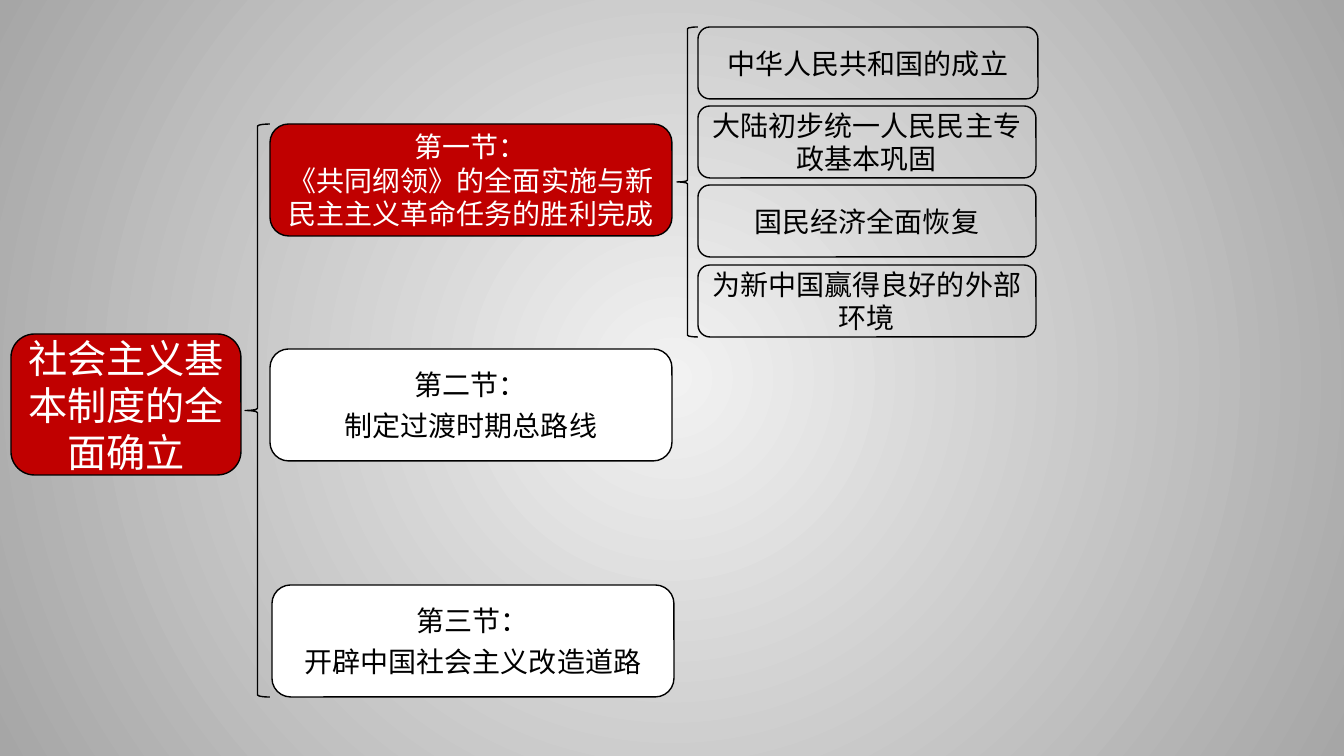
from dataclasses import dataclass

from lxml.etree import SubElement
from pptx import Presentation
from pptx.dml.color import RGBColor
from pptx.enum.shapes import MSO_SHAPE
from pptx.enum.text import MSO_ANCHOR, PP_ALIGN
from pptx.oxml.ns import qn
from pptx.slide import Slide
from pptx.util import Emu, Pt

FONT = "Noto Sans CJK SC"
RED = RGBColor(0xC0, 0x00, 0x00)
BLACK = RGBColor(0x00, 0x00, 0x00)
WHITE = RGBColor(0xFF, 0xFF, 0xFF)
PALE = RGBColor(0xF2, 0xF2, 0xF2)
GREY = RGBColor(0xA6, 0xA6, 0xA6)


def px(count: int) -> Emu:
    return Emu(round(count * 914400 / 100.8))


@dataclass
class Area:
    left: int
    top: int
    width: int
    height: int


@dataclass
class Node:
    area: Area
    lines: list[str]
    fill: RGBColor | None = None
    ink: RGBColor = BLACK
    size: int = 20
    gap: float = 0


def add_outline(slide: Slide, kind: MSO_SHAPE, area: Area, fill: RGBColor | None = None):
    shape = slide.shapes.add_shape(
        kind, px(area.left), px(area.top), px(area.width), px(area.height)
    )
    shape.shadow.inherit = False
    if fill is None:
        shape.fill.background()
    else:
        shape.fill.solid()
        shape.fill.fore_color.rgb = fill
    shape.line.color.rgb = BLACK
    shape.line.width = Pt(1)
    return shape


def add_node(slide: Slide, node: Node) -> None:
    shape = add_outline(slide, MSO_SHAPE.ROUNDED_RECTANGLE, node.area, node.fill)
    frame = shape.text_frame
    frame.word_wrap = True
    frame.vertical_anchor = MSO_ANCHOR.MIDDLE
    frame.text = "\n".join(node.lines)
    for index, para in enumerate(frame.paragraphs):
        para.alignment = PP_ALIGN.CENTER
        if index and node.gap:
            para.space_before = Pt(node.gap)
        font = para.font
        font.size = Pt(node.size)
        font.color.rgb = node.ink
        font.name = FONT
        props = para._p.pPr.find(qn("a:defRPr"))
        SubElement(props, qn("a:ea"), typeface=FONT)


def paint_back(slide: Slide) -> None:
    fill = slide.background.fill
    fill.gradient()
    for stop, color in zip(fill.gradient_stops, (PALE, GREY)):
        stop.color.rgb = color
    grad = slide.element.find(".//" + qn("a:gradFill"))
    grad.remove(grad.find(qn("a:lin")))
    route = SubElement(grad, qn("a:path"), path="circle")
    SubElement(route, qn("a:fillToRect"), l="50000", t="50000", r="50000", b="50000")


ROOT = Node(Area(11, 334, 230, 141), ["社会主义基本制度的全面确立"], RED, WHITE, 28)
PARTS = [
    Node(
        Area(270, 124, 402, 112),
        ["第一节：", "《共同纲领》的全面实施与新民主主义革命任务的胜利完成"],
        RED,
        WHITE,
    ),
    Node(Area(270, 349, 402, 112), ["第二节：", "制定过渡时期总路线"], WHITE, gap=4.8),
    Node(Area(272, 585, 402, 112), ["第三节：", "开辟中国社会主义改造道路"], WHITE, gap=4.8),
]
TOPICS = [
    ("中华人民共和国的成立", 340),
    ("大陆初步统一人民民主专政基本巩固", 338),
    ("国民经济全面恢复", 338),
    ("为新中国赢得良好的外部环境", 338),
]
LEAVES = [
    Node(Area(698, 27 + row * 238 // 3, width, 72), [text])
    for row, (text, width) in enumerate(TOPICS)
]
BRACES = [Area(245, 124, 25, 573), Area(677, 27, 21, 310)]


def main() -> None:
    deck = Presentation()
    deck.slide_width = px(1344)
    deck.slide_height = px(756)
    slide = deck.slides.add_slide(deck.slide_layouts[6])
    paint_back(slide)
    for area in BRACES:
        add_outline(slide, MSO_SHAPE.LEFT_BRACE, area)
    for node in [ROOT, *PARTS, *LEAVES]:
        add_node(slide, node)
    deck.save("out.pptx")


if __name__ == "__main__":
    main()
